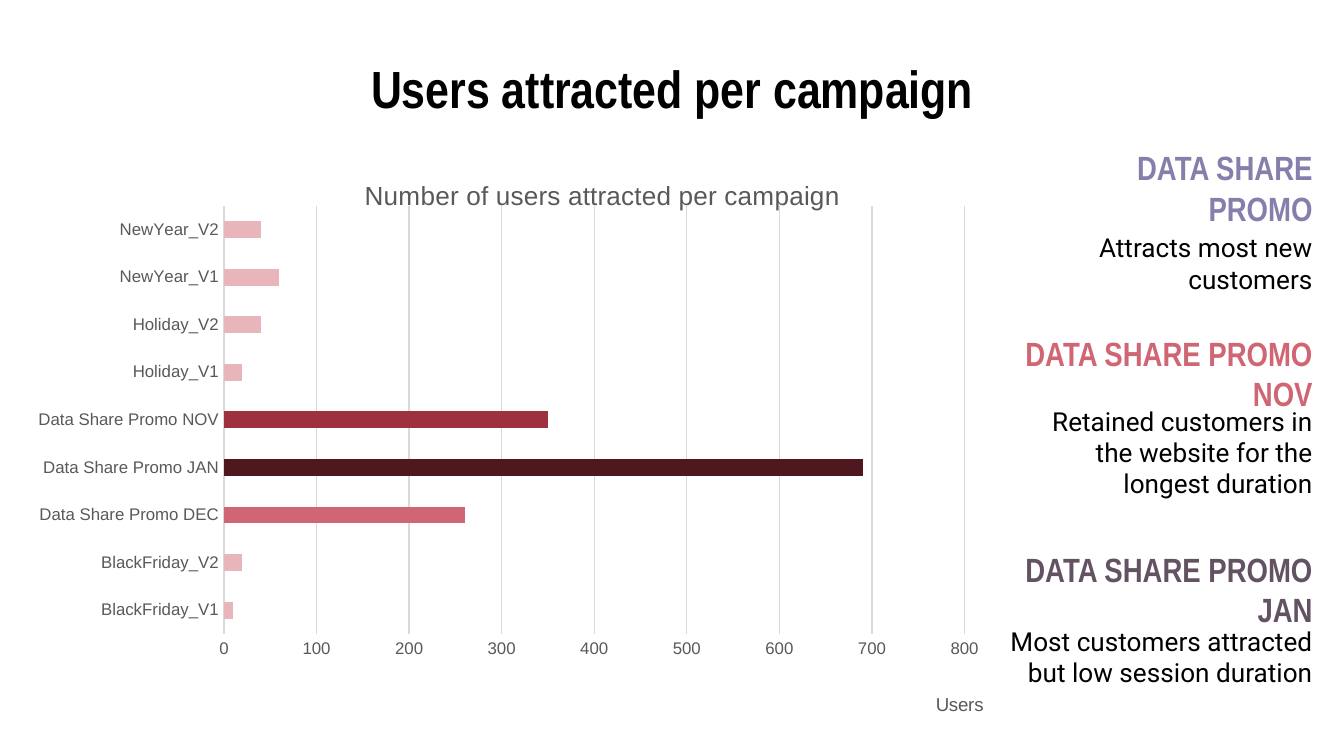
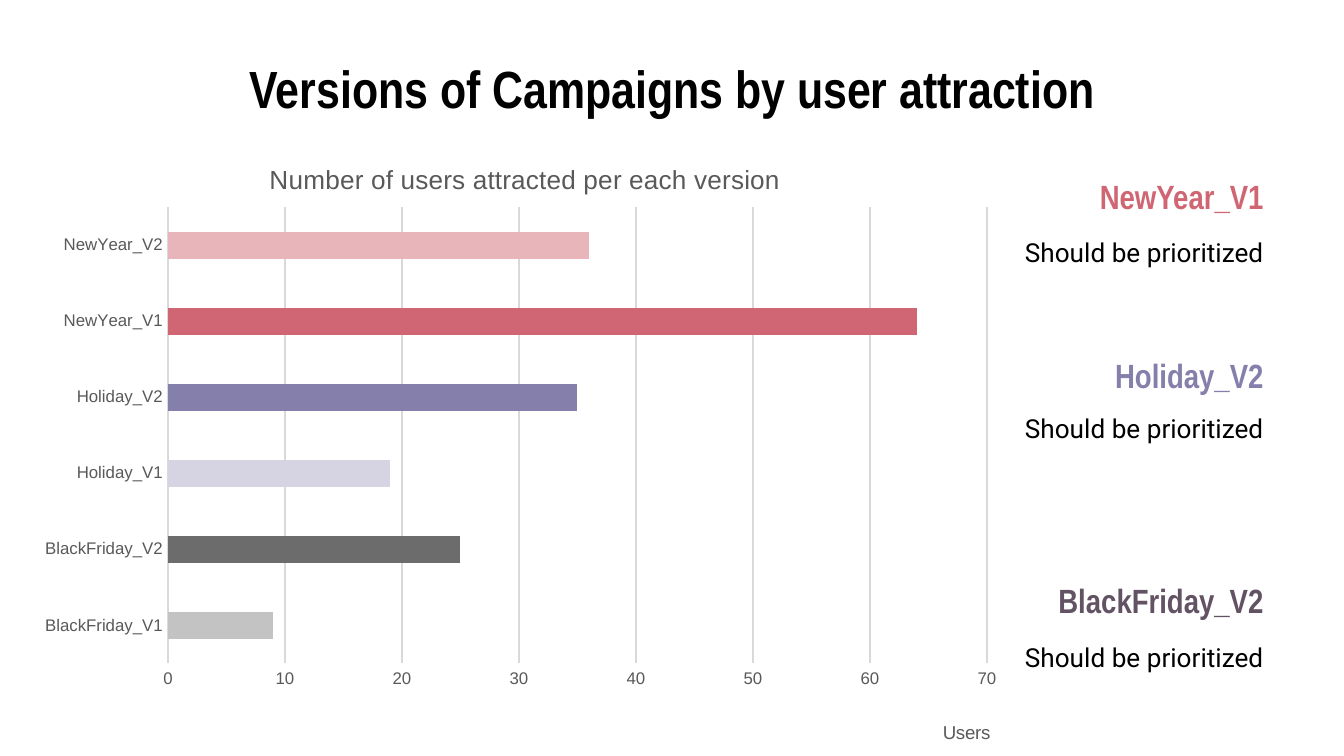
"""Build two slides that compare campaigns by the users they attract."""
from lxml.etree import SubElement
from pptx import Presentation
from pptx.chart.data import CategoryChartData
from pptx.dml.color import RGBColor
from pptx.enum.chart import XL_CHART_TYPE, XL_TICK_MARK
from pptx.enum.text import MSO_ANCHOR, PP_ALIGN
from pptx.oxml.ns import qn
from pptx.util import Pt

PX = 9525
COLORS = {
    "black": "000000", "label": "595959", "grid": "D9D9D9",
    "pink": "E8B5BB", "rose": "D06673", "crimson": "9E313E", "maroon": "4F181F",
    "violet": "847FAB", "lilac": "D6D4E3", "plum": "635263",
    "gray": "6C6C6C", "silver": "C3C3C3",
}
HEADING_FONT, BODY_FONT, CHART_FONT = "Arial Narrow", "Roboto", "Arial"
TITLE_BOX = (48, 43, 864, 39)

SLIDES = [
    {
        "title": "Users attracted per campaign",
        "chart": {
            "title": "Number of users attracted per campaign",
            "box": (13, 93, 700, 426),
            "plot": (160, 147, 529, 306),
            "title_at": (257, 124),
            "unit_at": (666, 492),
            "maximum": 800, "step": 100,
            "bars": [
                ("BlackFriday_V1", 10, "pink"),
                ("BlackFriday_V2", 20, "pink"),
                ("Data Share Promo DEC", 260, "rose"),
                ("Data Share Promo JAN", 690, "maroon"),
                ("Data Share Promo NOV", 350, "crimson"),
                ("Holiday_V1", 20, "pink"),
                ("Holiday_V2", 40, "pink"),
                ("NewYear_V1", 60, "pink"),
                ("NewYear_V2", 40, "pink"),
            ],
        },
        "notes_right": 947,
        "notes": [
            ("DATA SHARE PROMO", "violet", (216, 120, 28),
             "Attracts most new customers", (216, 149, 78)),
            ("DATA SHARE PROMO NOV", "rose", (252, 243, 47),
             "Retained customers in the website for the longest duration", (216, 289, 68)),
            ("DATA SHARE PROMO JAN", "plum", (252, 409, 24),
             "Most customers attracted but low session duration", (252, 448, 42)),
        ],
    },
    {
        "title": "Versions of Campaigns by user attraction",
        "chart": {
            "title": "Number of users attracted per each version",
            "box": (18, 94, 708, 445),
            "plot": (120, 148, 585, 326),
            "title_at": (189, 113),
            "unit_at": (671, 512),
            "maximum": 70, "step": 10,
            "bars": [
                ("BlackFriday_V1", 9, "silver"),
                ("BlackFriday_V2", 25, "gray"),
                ("Holiday_V1", 19, "lilac"),
                ("Holiday_V2", 35, "violet"),
                ("NewYear_V1", 64, "rose"),
                ("NewYear_V2", 36, "pink"),
            ],
        },
        "notes_right": 912,
        "notes": [
            ("NewYear_V1", "rose", (259, 130, 20),
             "Should be prioritized", (259, 151, 58)),
            ("Holiday_V2", "violet", (252, 252, 32),
             "Should be prioritized", (259, 283, 46)),
            ("BlackFriday_V2", "plum", (252, 418, 21),
             "Should be prioritized", (252, 451, 36)),
        ],
    },
]


def color(name):
    return RGBColor.from_string(COLORS[name])


def emu(box):
    return [length * PX for length in box]


def style_font(font, name, size, color_name, bold=False):
    font.name, font.size, font.bold = name, Pt(size), bold
    font.color.rgb = color(color_name)


def add_text(slide, box, text, alignment, *font_style):
    frame = slide.shapes.add_textbox(*emu(box)).text_frame
    frame.word_wrap = True
    frame.vertical_anchor = MSO_ANCHOR.MIDDLE
    frame.margin_left = frame.margin_right = frame.margin_top = frame.margin_bottom = Pt(7.2)
    paragraph = frame.paragraphs[0]
    paragraph.text, paragraph.alignment = text, alignment
    style_font(paragraph.font, *font_style)


def place(element, position, chart_box, area, inner=False):
    """Pin a chart part to slide coordinates, as fractions of the chart."""
    for old_layout in element.findall(qn("c:layout")):
        element.remove(old_layout)
    layout = SubElement(element, qn("c:layout"))
    element.insert(position, layout)
    manual = SubElement(layout, qn("c:manualLayout"))
    left, top, width, height = chart_box
    settings = [("layoutTarget", "inner")] if inner else []
    settings += [("xMode", "edge"), ("yMode", "edge")]
    origins, extents = (left, top, 0, 0), (width, height, width, height)
    for key, value, origin, extent in zip("xywh", area, origins, extents):
        settings.append((key, f"{(value - origin) / extent:.4f}"))
    for key, value in settings:
        SubElement(manual, qn(f"c:{key}")).set("val", value)


def set_title(title, text, size, chart_box, position):
    title.text_frame.text = text
    style_font(title.text_frame.paragraphs[0].font, CHART_FONT, size, "label")
    place(title._element, 1, chart_box, position)


def style_line(line):
    line.color.rgb = color("grid")
    line.width = Pt(0.75)


def add_bar_chart(slide, content):
    box, bars = content["box"], content["bars"]
    data = CategoryChartData()
    data.categories = [name for name, _, _ in bars]
    data.add_series("Series 1", [value for _, value, _ in bars])
    chart = slide.shapes.add_chart(XL_CHART_TYPE.BAR_CLUSTERED, *emu(box), data).chart
    chart.has_legend = False
    style_font(chart.font, CHART_FONT, 10, "black")
    set_title(chart.chart_title, content["title"], 14, box, content["title_at"])

    plot = chart.plots[0]
    plot.gap_width, plot.vary_by_categories = 182, False
    series = plot.series[0]
    series.format.fill.solid()
    series.format.fill.fore_color.rgb = color("pink")
    for index, (_, _, color_name) in enumerate(bars):
        if color_name != "pink":
            fill = series.points[index].format.fill
            fill.solid()
            fill.fore_color.rgb = color(color_name)

    category_axis, value_axis = chart.category_axis, chart.value_axis
    for axis in (category_axis, value_axis):
        axis.major_tick_mark = axis.minor_tick_mark = XL_TICK_MARK.NONE
        style_font(axis.tick_labels.font, CHART_FONT, 9, "label")
    style_line(category_axis.format.line)
    style_line(value_axis.major_gridlines.format.line)
    value_axis.format.line.fill.background()
    value_axis.minimum_scale, value_axis.maximum_scale = 0, content["maximum"]
    value_axis.major_unit = content["step"]
    set_title(value_axis.axis_title, "Users", 10, box, content["unit_at"])
    plot_area = chart._chartSpace.chart.plotArea
    place(plot_area, 0, box, content["plot"], inner=True)


def add_note(slide, right, heading, color_name, heading_size, body, body_size):
    parts = [
        (heading, heading_size, (HEADING_FONT, 18, color_name, True)),
        (body, body_size, (BODY_FONT, 14, "black")),
    ]
    for text, (width, top, height), font_style in parts:
        box = (right - width, top, width, height)
        add_text(slide, box, text, PP_ALIGN.RIGHT, *font_style)


def main():
    presentation = Presentation()
    presentation.slide_width, presentation.slide_height = emu((960, 540))
    for content in SLIDES:
        slide = presentation.slides.add_slide(presentation.slide_layouts[6])
        add_text(slide, TITLE_BOX, content["title"], PP_ALIGN.CENTER,
                 HEADING_FONT, 28, "black", True)
        for note in content["notes"]:
            add_note(slide, content["notes_right"], *note)
        add_bar_chart(slide, content["chart"])
    presentation.save("out.pptx")


if __name__ == "__main__":
    main()
